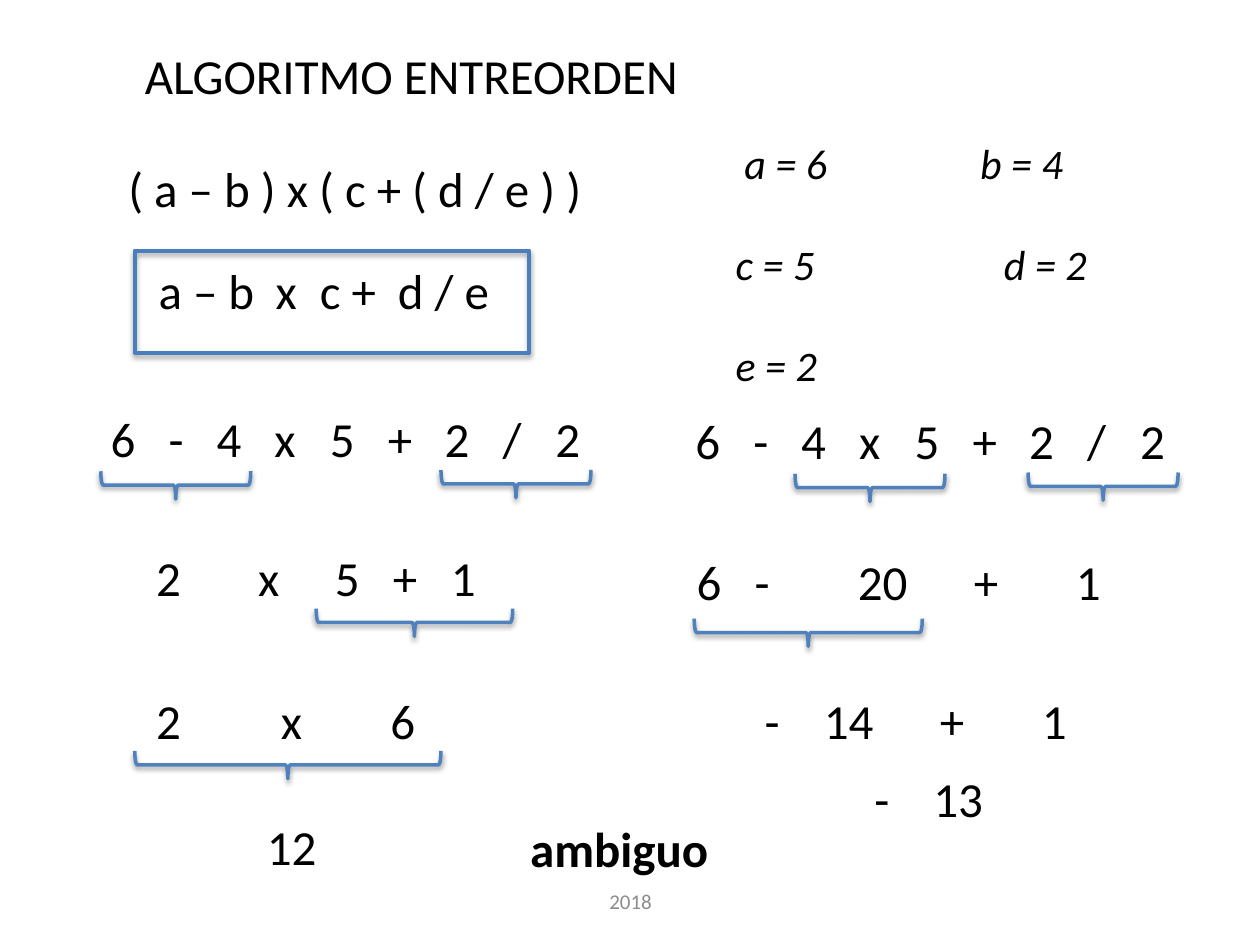
"""Build the slide that compares two readings of an infix expression."""
from dataclasses import dataclass

import pptx
import pptx.dml.color
import pptx.enum.shapes
import pptx.enum.text
import pptx.oxml
import pptx.oxml.ns
import pptx.util
from pptx.util import Inches


@dataclass(frozen=True)
class Theme:
    """Colours, font and type sizes of the slide."""
    font: str = "Calibri"
    text: str = "000000"
    muted: str = "8C8C8C"
    brace: str = "4F81BD"
    frame: str = "4B7EBC"
    body_size: float = 28
    values_size: float = 24
    footer_size: float = 12


@dataclass(frozen=True)
class Expression:
    """Tokens of one expression, the first at the text edge, the rest at tab stops."""
    left: float
    top: float
    width: float
    tokens: tuple[str, ...]
    stops: tuple[float, ...] = ()
    bold: bool = False


@dataclass(frozen=True)
class Brace:
    """A brace under a group of tokens, pointing down."""
    left: float
    top: float
    span: float


THEME = Theme()
BRACE_DEPTH = 0.22
FULL_TOKENS = tuple("6-4x5+2/2")
FULL_STOPS = (0.46, 0.84, 1.30, 1.74, 2.20, 2.65, 3.11, 3.53)

EXPRESSIONS = (
    Expression(0.92, 1.21, 4.94, ("( a – b ) x ( c + ( d / e ) )",)),
    Expression(1.16, 2.02, 4.85, ("a – b", "x", "c +", "d / e"), (0.93, 1.28, 1.90)),
    Expression(0.78, 3.19, 4.01, FULL_TOKENS, FULL_STOPS),
    Expression(1.14, 4.30, 3.87, tuple("2x5+1"), (0.81, 1.42, 1.88, 2.34)),
    Expression(1.14, 5.43, 3.78, tuple("2x6"), (0.99, 1.86)),
    Expression(2.02, 6.43, 2.29, ("12",)),
    Expression(4.11, 6.45, 1.64, ("ambiguo",), bold=True),
    Expression(5.42, 3.21, 4.41, FULL_TOKENS, FULL_STOPS),
    Expression(5.43, 4.33, 4.41, ("6", "-", "20", "+", "1"), (0.46, 1.28, 2.20, 3.01)),
    Expression(5.97, 5.43, 3.88, ("-", "14", "+", "1"), (0.47, 1.39, 2.20)),
    Expression(6.84, 6.05, 1.79, ("-", "13"), (0.47,)),
)

BRACES = (
    Brace(0.80, 3.74, 1.19),
    Brace(3.50, 3.73, 1.19),
    Brace(2.51, 4.83, 1.56),
    Brace(1.07, 5.96, 2.43),
    Brace(8.16, 3.75, 1.19),
    Brace(6.31, 3.76, 1.19),
    Brace(5.51, 4.91, 1.81),
)

VALUES = (
    ("\ta = 6\tb = 4", (0.07, 1.94)),
    ("c = 5\td = 2", (2.13,)),
    ("e = 2", ()),
)


def add_tab_stops(paragraph, stops: tuple[float, ...]) -> None:
    """Give a paragraph left tab stops, in inches from the text edge."""
    if not stops:
        return
    properties = paragraph._p.get_or_add_pPr()
    tab_list = pptx.oxml.parse_xml(f"<a:tabLst {pptx.oxml.ns.nsdecls('a')}/>")
    for stop in stops:
        tab = tab_list.makeelement(pptx.oxml.ns.qn("a:tab"), {"pos": str(Inches(stop)), "algn": "l"})
        tab_list.append(tab)
    properties.append(tab_list)


def format_runs(paragraph, size: float, color: str = THEME.text, bold: bool = False, italic: bool = False) -> None:
    """Set the type of every run in a paragraph."""
    for run in paragraph.runs:
        run.font.name = THEME.font
        run.font.size = pptx.util.Pt(size)
        run.font.bold = bold
        run.font.italic = italic
        run.font.color.rgb = pptx.dml.color.RGBColor.from_string(color)


def add_text_frame(slide, left: float, top: float, width: float, height: float):
    """Add a wrapping text box and return its text frame."""
    text_box = slide.shapes.add_textbox(Inches(left), Inches(top), Inches(width), Inches(height))
    text_box.text_frame.word_wrap = True
    return text_box.text_frame


def add_expression(slide, expression: Expression) -> None:
    """Draw one expression with its tokens on tab stops."""
    text_frame = add_text_frame(slide, expression.left, expression.top, expression.width, 0.57)
    text_frame.auto_size = pptx.enum.text.MSO_AUTO_SIZE.SHAPE_TO_FIT_TEXT
    text_frame.text = "\t".join(expression.tokens)
    paragraph = text_frame.paragraphs[0]
    add_tab_stops(paragraph, expression.stops)
    format_runs(paragraph, THEME.body_size, bold=expression.bold)


def style_outline(shape, color: str, width: float, opacity: int, distance: float) -> None:
    """Give a shape an outline, no fill and a soft shadow below."""
    shape.fill.background()
    shape.line.color.rgb = pptx.dml.color.RGBColor.from_string(color)
    shape.line.width = pptx.util.Pt(width)
    shape.shadow.inherit = False
    effects = shape._element.spPr.find(pptx.oxml.ns.qn("a:effectLst"))
    effects.append(pptx.oxml.parse_xml(
        f'<a:outerShdw {pptx.oxml.ns.nsdecls("a")} blurRad="{pptx.util.Pt(3.1)}" '
        f'dist="{pptx.util.Pt(distance)}" dir="5400000" rotWithShape="0">'
        f'<a:srgbClr val="000000"><a:alpha val="{opacity * 1000}"/></a:srgbClr></a:outerShdw>'
    ))


def add_brace(slide, brace: Brace) -> None:
    """Draw a left brace turned to point down."""
    shape = slide.shapes.add_shape(
        pptx.enum.shapes.MSO_SHAPE.LEFT_BRACE,
        Inches(brace.left + (brace.span - BRACE_DEPTH) / 2),
        Inches(brace.top - (brace.span - BRACE_DEPTH) / 2),
        Inches(BRACE_DEPTH), Inches(brace.span),
    )
    shape.rotation = 270
    style_outline(shape, THEME.brace, 2, 38, 1.6)


def add_title(slide) -> None:
    """Place the title in the title placeholder."""
    title = slide.shapes.title
    title.left, title.top, title.width, title.height = map(Inches, (1.05, 0.31, 4.81, 0.57))
    text_frame = title.text_frame
    text_frame.text = "ALGORITMO ENTREORDEN"
    text_frame.auto_size = pptx.enum.text.MSO_AUTO_SIZE.NONE
    text_frame.vertical_anchor = pptx.enum.text.MSO_ANCHOR.TOP
    text_frame.paragraphs[0].alignment = pptx.enum.text.PP_ALIGN.LEFT
    format_runs(text_frame.paragraphs[0], THEME.body_size)


def add_values(slide) -> None:
    """List the values of the variables."""
    text_frame = add_text_frame(slide, 5.74, 1.04, 3.16, 2.12)
    text_frame.auto_size = pptx.enum.text.MSO_AUTO_SIZE.SHAPE_TO_FIT_TEXT
    text_frame.text = "\n".join(text for text, _ in VALUES)
    for index, (paragraph, (_, stops)) in enumerate(zip(text_frame.paragraphs, VALUES)):
        add_tab_stops(paragraph, stops)
        if index:
            paragraph.space_before = pptx.util.Pt(29)
        format_runs(paragraph, THEME.values_size, italic=True)


def add_footer(slide) -> None:
    """Write the year at the foot of the slide."""
    text_frame = add_text_frame(slide, 3.42, 6.95, 3.17, 0.4)
    text_frame.text = "2018"
    text_frame.vertical_anchor = pptx.enum.text.MSO_ANCHOR.MIDDLE
    text_frame.paragraphs[0].alignment = pptx.enum.text.PP_ALIGN.CENTER
    format_runs(text_frame.paragraphs[0], THEME.footer_size, THEME.muted)


def main() -> None:
    """Build and save the presentation."""
    presentation = pptx.Presentation()
    presentation.slide_width, presentation.slide_height = Inches(10), Inches(7.5)
    slide = presentation.slides.add_slide(presentation.slide_layouts[5])
    add_title(slide)
    add_values(slide)
    frame = slide.shapes.add_shape(
        pptx.enum.shapes.MSO_SHAPE.RECTANGLE, Inches(1.07), Inches(1.99), Inches(3.13), Inches(0.81))
    style_outline(frame, THEME.frame, 2.5, 35, 1.8)
    for expression in EXPRESSIONS:
        add_expression(slide, expression)
    for brace in BRACES:
        add_brace(slide, brace)
    add_footer(slide)
    presentation.save("out.pptx")


if __name__ == "__main__":
    main()
